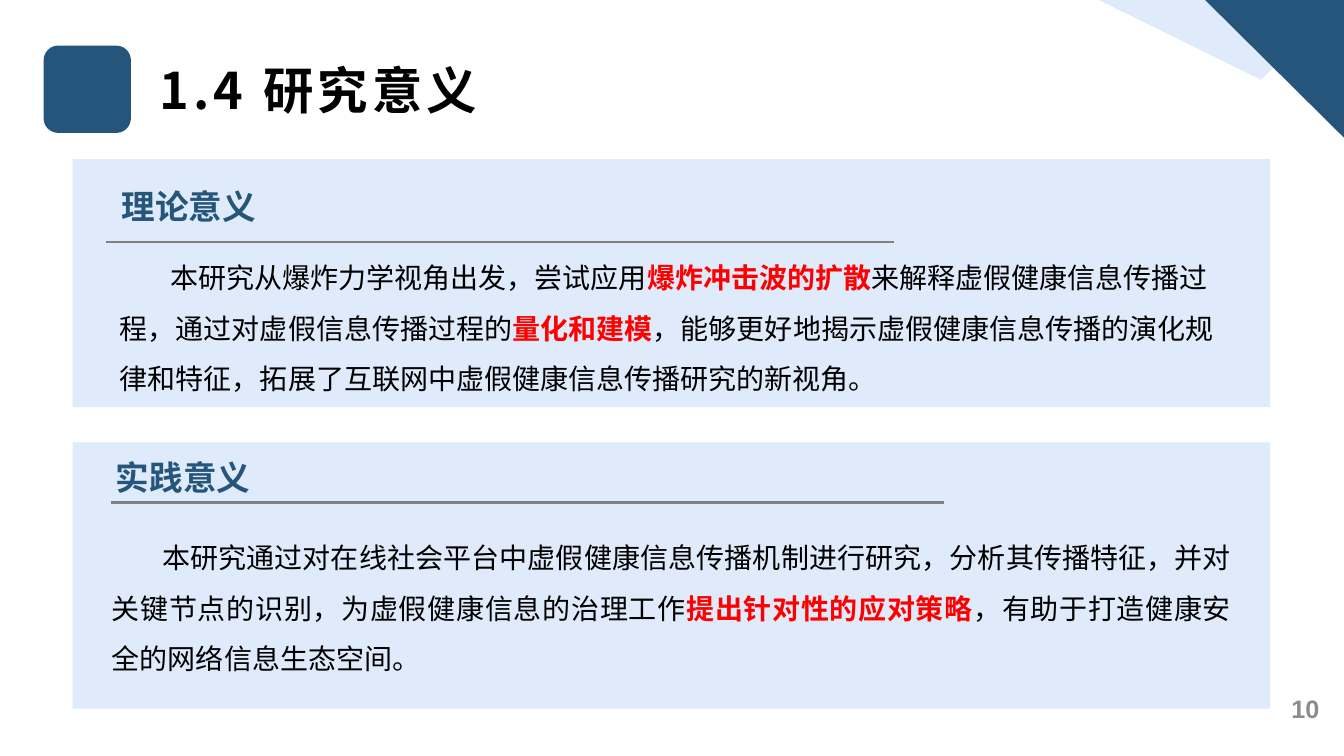
from dataclasses import dataclass

from lxml.etree import SubElement
from pptx import Presentation
from pptx.dml.color import RGBColor
from pptx.enum.shapes import MSO_CONNECTOR, MSO_SHAPE
from pptx.enum.text import MSO_ANCHOR, MSO_AUTO_SIZE, PP_ALIGN
from pptx.oxml.ns import qn
from pptx.util import Cm, Pt


@dataclass(frozen=True)
class Theme:
    navy: RGBColor = RGBColor(0x25, 0x55, 0x7A)
    pale: RGBColor = RGBColor(0xDF, 0xEA, 0xFA)
    ink: RGBColor = RGBColor(0, 0, 0)
    accent: RGBColor = RGBColor(0xFF, 0, 0)
    rule: RGBColor = RGBColor(0x80, 0x80, 0x80)
    number: RGBColor = RGBColor(0x8C, 0x8C, 0x8C)
    title_size: Pt = Pt(36)
    heading_size: Pt = Pt(24)
    body_size: Pt = Pt(20)
    number_size: Pt = Pt(18)
    sans: str = "Noto Sans CJK SC"
    serif: str = "Times New Roman"
    number_font: str = "Arial"


theme = Theme()


def style_run(run, font, size, color, bold):
    run.font.name, run.font.size, run.font.bold = font, size, bold
    run.font.color.rgb = color
    SubElement(run.font._element, qn("a:ea")).set("typeface", theme.sans)


def paint(shape, color):
    shape.shadow.inherit = False
    shape.fill.solid()
    shape.fill.fore_color.rgb = color
    shape.line.fill.background()


prs = Presentation()
prs.slide_width, prs.slide_height = Cm(33.87), Cm(19.05)
slide = prs.slides.add_slide(prs.slide_layouts[5])
shapes = slide.shapes

# Corner decoration
outline = shapes.build_freeform(Cm(27.69), Cm(0))
outline.add_line_segments([(Cm(33.83), Cm(0)), (Cm(31.78), Cm(2.01))], close=True)
paint(outline.convert_to_shape(), theme.pale)
corner = shapes.add_shape(MSO_SHAPE.RIGHT_TRIANGLE, Cm(30.37), Cm(0), Cm(3.5), Cm(3.47))
corner.rotation = 180
paint(corner, theme.navy)

# Title with its plain emblem
emblem = shapes.add_shape(MSO_SHAPE.ROUNDED_RECTANGLE, Cm(1.1), Cm(1.15), Cm(2.2), Cm(2.2))
paint(emblem, theme.navy)
title = shapes.title
title.left, title.top, title.width, title.height = Cm(3.76), Cm(1.35), Cm(12), Cm(1.8)
title.text_frame.text = "1.4 研究意义"
title.text_frame.auto_size = MSO_AUTO_SIZE.NONE
title.text_frame.vertical_anchor = MSO_ANCHOR.MIDDLE
title_line = title.text_frame.paragraphs[0]
title_line.alignment = PP_ALIGN.LEFT
style_run(title_line.runs[0], theme.sans, theme.title_size, theme.ink, True)
title_line.runs[0].font._element.set("spc", "300")

# Two panels: boxes are left, top, width, height in cm; rule is left, right, y
# Body parts alternate between plain and highlighted text
sections = [
    dict(
        panel=(1.83, 4.01, 30.18, 6.25),
        heading="理论意义",
        heading_box=(2.82, 4.57, 13.23, 1.27),
        rule=(2.67, 22.53, 6.1),
        body_box=(1.5, 6.02, 29.46, 5.23),
        margin=1.27,
        align=PP_ALIGN.LEFT,
        body=[
            "本研究从爆炸力学视角出发，尝试应用",
            "爆炸冲击波的扩散",
            "来解释虚假健康信息传播过程，通过对虚假信息传播过程的",
            "量化和建模",
            "，能够更好地揭示虚假健康信息传播的演化规律和特征，拓展了互联网中虚假健康信息传播研究的新视角。",
        ],
    ),
    dict(
        panel=(1.83, 11.15, 30.18, 6.71),
        heading="实践意义",
        heading_box=(2.67, 11.4, 19.86, 1.3),
        rule=(2.79, 23.8, 12.67),
        body_box=(2.57, 13.08, 28.7, 3.94),
        margin=0,
        align=PP_ALIGN.JUSTIFY,
        body=[
            "本研究通过对在线社会平台中虚假健康信息传播机制进行研究，分析其传播特征，并对关键节点的识别，为虚假健康信息的治理工作",
            "提出针对性的应对策略",
            "，有助于打造健康安全的网络信息生态空间。",
        ],
    ),
]
for section in sections:
    panel = shapes.add_shape(MSO_SHAPE.RECTANGLE, *map(Cm, section["panel"]))
    paint(panel, theme.pale)

    heading = shapes.add_textbox(*map(Cm, section["heading_box"])).text_frame
    heading.word_wrap = True
    heading.text = section["heading"]
    style_run(heading.paragraphs[0].runs[0], theme.serif, theme.heading_size, theme.navy, True)

    left, right, y = map(Cm, section["rule"])
    rule = shapes.add_connector(MSO_CONNECTOR.STRAIGHT, left, y, right, y)
    rule.line.color.rgb, rule.line.width = theme.rule, Pt(2)
    SubElement(rule._element.spPr, qn("a:effectLst"))

    body = shapes.add_textbox(*map(Cm, section["body_box"])).text_frame
    body.word_wrap = True
    paragraph = body.paragraphs[0]
    paragraph.alignment, paragraph.line_spacing = section["align"], 1.5
    indents = paragraph._p.get_or_add_pPr()
    indents.set("marL", str(Cm(section["margin"])))
    indents.set("indent", str(Cm(1.27)))
    for position, words in enumerate(section["body"]):
        run = paragraph.add_run()
        run.text = words
        highlighted = position % 2 == 1
        color = theme.accent if highlighted else theme.ink
        style_run(run, theme.serif, theme.body_size, color, highlighted)

# Page number
page = shapes.add_textbox(Cm(26.01), Cm(17.4), Cm(7.49), Cm(0.89)).text_frame
page.word_wrap = True
page.vertical_anchor = MSO_ANCHOR.MIDDLE
page.text = "10"
page.paragraphs[0].alignment = PP_ALIGN.RIGHT
style_run(page.paragraphs[0].runs[0], theme.number_font, theme.number_size, theme.number, True)

prs.save("out.pptx")
